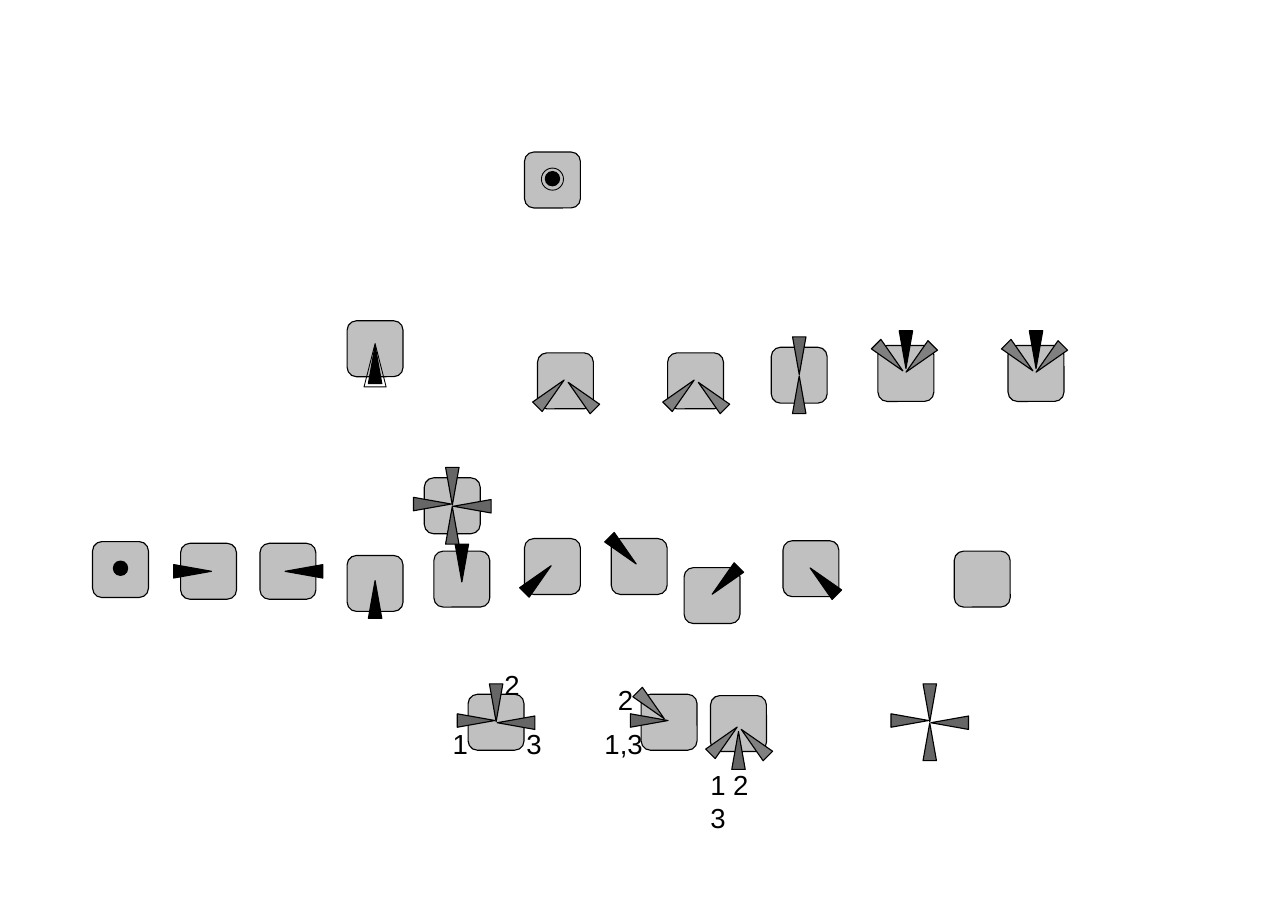
"""Build a slide of grey tiles with wedge marks that show view directions."""
import pptx
import pptx.util
import pptx.dml.color
import pptx.enum.shapes
import pptx.enum.text

Cm, Pt = pptx.util.Cm, pptx.util.Pt
RGB = pptx.dml.color.RGBColor
KIND = pptx.enum.shapes.MSO_SHAPE
BLACK = RGB(0, 0, 0)
DARK = RGB(0x66, 0x66, 0x66)
MID = RGB(0x80, 0x80, 0x80)
PALE = RGB(0xC0, 0xC0, 0xC0)

SIZES = {
    "tile": (KIND.ROUNDED_RECTANGLE, 1.29, 1.29),
    "wedge": (KIND.ISOSCELES_TRIANGLE, 0.31, 0.87),
    "cone": (KIND.ISOSCELES_TRIANGLE, 0.51, 1),
    "dot": (KIND.OVAL, 0.33, 0.33),
    "ring": (KIND.OVAL, 0.51, 0.51),
}
MARKS = {
    "tile": ("tile", 0, 0, 0),
    "dot": ("dot", 0, 0, -0.03),
    "ring": ("ring", 0, 0, -0.02),
    "cone": ("cone", 0, 0, 0.38),
    "south": ("wedge", 0, 0, 0.37),
    "north": ("wedge", 180, 0, -0.37),
    "west": ("wedge", 90, -0.37, 0),
    "east": ("wedge", 270, 0.37, 0),
    "sw": ("wedge", 45, -0.34, 0.29),
    "se": ("wedge", 315, 0.29, 0.29),
    "nw": ("wedge", 135, -0.38, -0.37),
    "ne": ("wedge", 225, 0.31, -0.34),
    "far south": ("wedge", 0, 0, 0.45),
    "far north": ("wedge", 180, 0, -0.45),
    "far west": ("wedge", 90, -0.46, -0.04),
    "far east": ("wedge", 270, 0.46, 0.01),
    "far se": ("wedge", 315, 0.37, 0.34),
    "far nw": ("wedge", 135, -0.42, -0.39),
    "top": ("wedge", 180, 0, -0.55),
    "base": ("wedge", 0, 0, 0.62),
    "low sw": ("wedge", 45, -0.34, 0.39),
    "low se": ("wedge", 315, 0.37, 0.44),
}
CROSS = [(DARK, ["far north", "far south", "far west", "far east"])]
PAIR = [(MID, ["sw", "far se"])]
TRIO = [(MID, ["ne", "nw"]), (BLACK, ["top"])]
TILES = [
    (8.65, 13.45, [(BLACK, ["south"])]),
    (10.65, 13.35, [(BLACK, ["north"])]),
    (6.64, 13.17, [(BLACK, ["east"])]),
    (4.81, 13.17, [(BLACK, ["west"])]),
    (16.42, 13.73, [(BLACK, ["ne"])]),
    (18.7, 13.11, [(BLACK, ["se"])]),
    (14.74, 13.06, [(BLACK, ["nw"])]),
    (12.74, 13.06, [(BLACK, ["sw"])]),
    (2.78, 13.13, [(BLACK, ["dot"])]),
    (10.43, 11.66, CROSS),
    (12.74, 4.15, [(BLACK, ["dot"]), (None, ["ring"])]),
    (8.65, 8.04, [(BLACK, ["south"]), (None, ["cone"])]),
    (13.04, 8.78, PAIR),
    (18.43, 8.65, [(DARK, ["far north", "far south"])]),
    (22.65, 13.35, []),
    (20.89, 8.61, TRIO),
    (11.44, 16.65, [(DARK, ["far north", "far west", "far east"])]),
    (23.89, 8.61, TRIO),
    (16.04, 8.78, PAIR),
    (15.43, 16.65, [(DARK, ["far west"]), (MID, ["far nw"])]),
    (17.03, 16.68, [(DARK, ["base"]), (MID, ["low sw", "low se"])]),
]
BARE = (21.44, 16.65, CROSS)
LABELS = [
    ("1", 10.19, 16.64, 0.86),
    ("3", 11.89, 16.64, 0.86),
    ("2", 11.38, 15.27, 0.86),
    ("1,3", 13.69, 16.64, 1.4),
    ("2", 14, 15.62, 0.86),
    ("1 2 3", 16.13, 17.58, 1.9),
]
FRAME = {
    "word_wrap": False,
    "auto_size": pptx.enum.text.MSO_AUTO_SIZE.SHAPE_TO_FIT_TEXT,
}
FONT = {"name": "Arial", "size": Pt(18)}


def style(item, looks):
    for name, value in looks.items():
        setattr(item, name, value)


def draw(x, y, name, tint):
    size, turn, right, down = MARKS[name]
    kind, wide, high = SIZES[size]
    shape = slide.shapes.add_shape(
        kind, Cm(x + right - wide / 2), Cm(y + down - high / 2),
        Cm(wide), Cm(high))
    shape.rotation = turn
    shape.shadow.inherit = False
    shape.line.color.rgb = BLACK
    if tint is None:
        shape.fill.background()
        shape.line.width = Pt(0.57)
    else:
        shape.fill.solid()
        shape.fill.fore_color.rgb = tint
        shape.line.width = Pt(0)


def place(x, y, groups):
    for tint, names in groups:
        for name in names:
            draw(x, y, name, tint)


deck = pptx.Presentation()
style(deck, {"slide_width": Cm(29.7), "slide_height": Cm(21)})
slide = deck.slides.add_slide(deck.slide_layouts[6])

for x, y, groups in TILES:
    place(x, y, [(PALE, ["tile"])] + groups)
place(*BARE)

for text, x, y, wide in LABELS:
    box = slide.shapes.add_textbox(Cm(x), Cm(y), Cm(wide), Cm(0.97))
    style(box.text_frame, FRAME)
    run = box.text_frame.paragraphs[0].add_run()
    run.text = text
    style(run.font, FONT)
    run.font.color.rgb = BLACK

deck.save("out.pptx")
